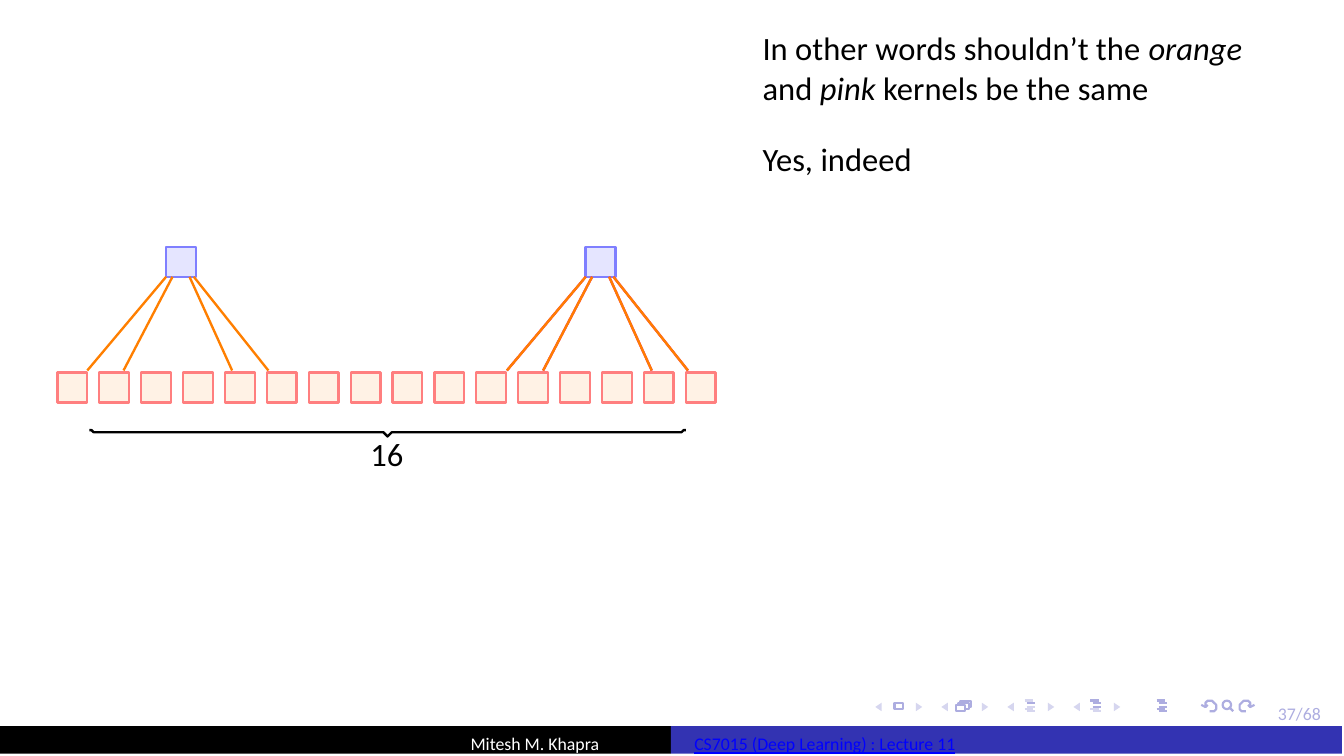
from pptx import Presentation
from pptx.dml.color import RGBColor
from pptx.enum.shapes import MSO_CONNECTOR, MSO_SHAPE
from pptx.oxml.ns import qn
from pptx.util import Inches, Pt
from lxml import etree

STRAIGHT = MSO_CONNECTOR.STRAIGHT
RECT, OVAL = MSO_SHAPE.RECTANGLE, MSO_SHAPE.OVAL

COLORS = {
    "black": "000000", "white": "FFFFFF", "bar": "3333B2", "link": "0000FF",
    "nav": "ADADE0", "nav_light": "D6D6EF",
    "input": "FFF2E5", "input_edge": "FF7F7F",
    "neuron": "E5E5FF", "neuron_edge": "7F7FFF",
    "orange": "FF7F00", "pink": "EC008C",
}

MESSAGE = [
    (0, [("In other words shouldn’t the ", False), ("orange", True)]),
    (0.3, [("and ", False), ("pink ", True), ("kernels be the same", False)]),
    (10.8, [("Yes, indeed", False)]),
]
LABELS = [
    ("37/68", 5.99, 3.29, 0.3, "nav", False),
    ("Mitesh M. Khapra", 2.2, 3.43, 0.9, "white", False),
    ("CS7015 (Deep Learning) : Lecture 11", 3.25, 3.43, 1.8, "link", True),
]
FOOTER = [(0, "black"), (3.15, "bar")]

INPUT_COUNT, FIRST_X, LAST_X = 16, 0.27, 3.22
INPUT_Y, NEURON_Y, BOX = 1.75, 1.16, 0.14
KERNEL_ENDS = [(-0.44, -0.07), (-0.27, -0.04), (0.24, 0.04), (0.41, 0.06)]
NEURONS = [(0.78, ["orange"]), (2.75, ["pink", "orange"])]

BRACE_CENTER, BRACE_Y = 1.82, 2.02
BRACE_HALF = [(1.4, 0), (1.39, 0), (1.38, 0.01), (1.36, 0.01), (0.03, 0.01),
              (0.02, 0.01), (0.01, 0.02), (0, 0.03)]

NAV_X, NAV_STEP, NAV_Y = 4.11, 0.31, 3.29
PAGE = [(4.2, 3.33), (4.24, 3.33), (4.24, 3.3), (4.2, 3.3), (4.2, 3.33)]
STACK = [
    [(4.49, 3.34), (4.53, 3.34), (4.53, 3.31), (4.49, 3.31), (4.49, 3.34)],
    [(4.5, 3.31), (4.5, 3.3), (4.55, 3.3), (4.55, 3.33), (4.53, 3.33)],
    [(4.51, 3.3), (4.51, 3.29), (4.56, 3.29), (4.56, 3.32), (4.55, 3.32)],
]
OUTLINE_ROWS = [(0, 0), (0.01, 0.01), (0.01, 0.03), (0, 0.04), (0.01, 0.05)]
OUTLINES = [(4.81, [1]), (5.12, [0, 1, 2]), (5.43, [0, 1, 2, 3, 4])]
UNDO = [
    [(5.68, 3.34), (5.69, 3.34), (5.7, 3.34), (5.71, 3.33), (5.71, 3.32),
     (5.71, 3.31), (5.7, 3.3), (5.69, 3.29), (5.68, 3.29), (5.67, 3.29),
     (5.66, 3.3), (5.66, 3.31), (5.66, 3.32)],
    [(5.67, 3.31), (5.66, 3.32), (5.64, 3.31)],
]
UNDO_REDO_SUM = 11.53

prs = Presentation()
prs.slide_width, prs.slide_height = Inches(6.31), Inches(3.55)
s = prs.slides.add_slide(prs.slide_layouts[6])


def rgb(name):
    return RGBColor.from_string(COLORS[name])


def style(sp, fill=None, line=None, width=0.75):
    sp.shadow.inherit = False
    if fill:
        sp.fill.solid()
        sp.fill.fore_color.rgb = rgb(fill)
    else:
        sp.fill.background()
    if line:
        sp.line.color.rgb = rgb(line)
        sp.line.width = Pt(width)
    else:
        sp.line.fill.background()


def shape(kind, x, y, w, h, **look):
    style(s.shapes.add_shape(kind, Inches(x), Inches(y), Inches(w), Inches(h)), **look)


def outline(paths, **look):
    paths = [[(Inches(x), Inches(y)) for x, y in path] for path in paths]
    fb = s.shapes.build_freeform(*paths[0][0])
    for i, path in enumerate(paths):
        if i:
            fb.move_to(*path[0])
        fb.add_line_segments(path[1:], close=path[0] == path[-1])
    style(fb.convert_to_shape(), **look)


def line(x1, y1, x2, y2, color, width=0.75):
    c = s.shapes.add_connector(STRAIGHT, Inches(x1), Inches(y1), Inches(x2), Inches(y2))
    c.line.color.rgb = rgb(color)
    c.line.width = Pt(width)
    etree.SubElement(c._element.spPr, qn("a:effectLst"))


def text(paragraphs, x, y, w, h, size, color, top=0, spacing=None, underline=None):
    tf = s.shapes.add_textbox(Inches(x), Inches(y), Inches(w), Inches(h)).text_frame
    tf.word_wrap = True
    tf.margin_left, tf.margin_top = Inches(0.01), Inches(top)
    tf.margin_right = tf.margin_bottom = 0
    for i, (before, runs) in enumerate(paragraphs):
        p = tf.add_paragraph() if i else tf.paragraphs[0]
        if before:
            p.space_before = Pt(before)
        if spacing:
            p.line_spacing = spacing
        p.font.name, p.font.size = "Calibri", Pt(size)
        p.font.color.rgb = rgb(color)
        p.font.underline = underline
        for words, italic in runs:
            r = p.add_run()
            r.text = words
            if italic:
                r.font.italic = True


def navigation():
    outline([PAGE], line="nav")
    outline(STACK, line="nav")
    top, middle, bottom = NAV_Y + 0.01, NAV_Y + 0.03, NAV_Y + 0.05
    for i in range(4):
        x = NAV_X + i * NAV_STEP
        for base, tip in ((x + 0.03, x), (x + 0.19, x + 0.22)):
            outline([[(base, top), (tip, middle), (base, bottom), (base, top)]],
                    fill="nav_light")
    for x, strong in OUTLINES:
        for row, (dx, dy) in enumerate(OUTLINE_ROWS):
            left, y = x + dx, NAV_Y + dy
            line(left, y, left + 0.04, y, "nav" if row in strong else "nav_light")
    shape(OVAL, 5.74, NAV_Y, 0.04, 0.04, line="nav")
    line(5.77, 3.32, 5.79, 3.34, "nav")
    outline(UNDO, line="nav")
    outline([[(UNDO_REDO_SUM - x, y) for x, y in path] for path in UNDO], line="nav")


def convolution():
    step = (LAST_X - FIRST_X) / (INPUT_COUNT - 1)
    for i in range(INPUT_COUNT):
        shape(RECT, FIRST_X + i * step, INPUT_Y, BOX, BOX,
              fill="input", line="input_edge", width=0.8)
    for x, kernels in NEURONS:
        shape(RECT, x, NEURON_Y, BOX, BOX, fill="neuron", line="neuron_edge", width=0.8)
        center = x + BOX / 2
        for color in kernels:
            for low, high in KERNEL_ENDS:
                line(center + low, INPUT_Y - 0.01, center + high, NEURON_Y + BOX, color, 0.8)
    right = [(BRACE_CENTER + dx, BRACE_Y + dy) for dx, dy in BRACE_HALF]
    left = [(BRACE_CENTER - dx, BRACE_Y + dy) for dx, dy in BRACE_HALF[-2::-1]]
    outline([right + left], line="black", width=0.8)
    text([(0, [(str(INPUT_COUNT), False)])], 1.73, 2.03, 0.2, 0.21, 11, "black", top=0.01)


navigation()
convolution()
text(MESSAGE, 3.57, 0.12, 2.48, 0.74, 11, "black", top=0.01)
for x, color in FOOTER:
    shape(RECT, x, 3.41, 3.15, 0.13, fill=color)
for words, x, y, w, color, underline in LABELS:
    text([(0, [(words, False)])], x, y, w, 0.11, 6, color, spacing=1.12, underline=underline)

prs.save("out.pptx")
